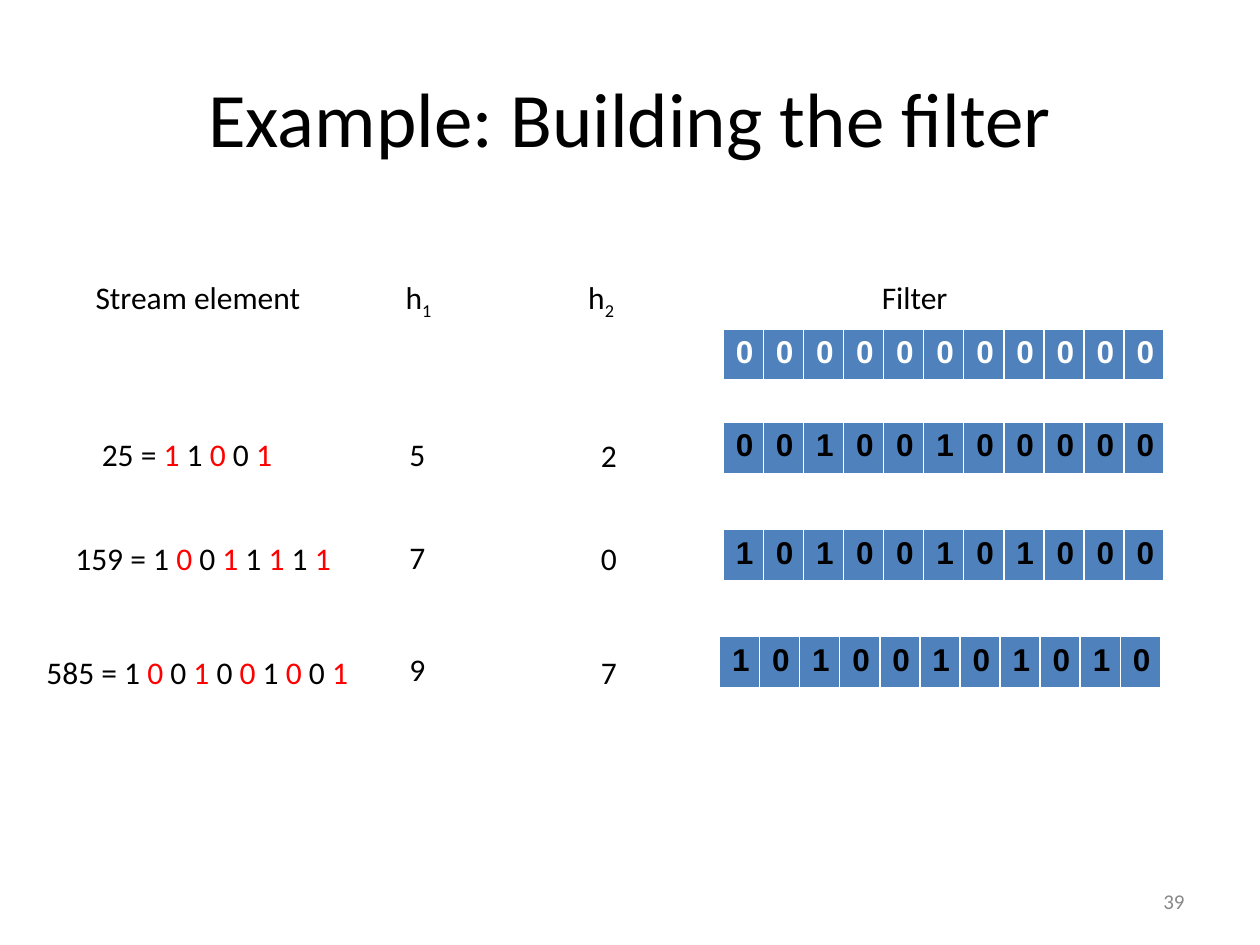
import pptx
import pptx.util
import pptx.dml.color
import pptx.enum.text
import pptx.oxml
import pptx.oxml.ns
from pptx.util import Inches

BLACK, WHITE, RED, GREY, BLUE = "000000", "FFFFFF", "FF0000", "888888", "4F81BD"
FILTER_SIZE = 11


def color(value):
    return pptx.dml.color.RGBColor.from_string(value)


class FilterSlide:
    text_font, bit_font = "Calibri", "Arial"
    body_size, title_size, number_size = 18, 44, 12

    def __init__(self, presentation):
        self.slide = presentation.slides.add_slide(presentation.slide_layouts[5])

    def style(self, run, size, fill=BLACK, font=text_font, bold=False):
        run.font.size = pptx.util.Pt(size)
        run.font.name = font
        run.font.bold = bold
        run.font.color.rgb = color(fill)

    def title(self, words):
        heading = self.slide.shapes.title
        heading.left, heading.top = Inches(0.5), Inches(0.3)
        heading.width, heading.height = Inches(9), Inches(1.25)
        frame = heading.text_frame
        frame.text = words
        frame.vertical_anchor = pptx.enum.text.MSO_ANCHOR.MIDDLE
        frame.paragraphs[0].alignment = pptx.enum.text.PP_ALIGN.CENTER
        self.style(frame.paragraphs[0].runs[0], self.title_size)

    def label(self, left, top, width, pieces, subscript=""):
        box = self.slide.shapes.add_textbox(Inches(left), Inches(top), Inches(width), Inches(0.4))
        frame = box.text_frame
        frame.word_wrap = False
        frame.auto_size = pptx.enum.text.MSO_AUTO_SIZE.SHAPE_TO_FIT_TEXT
        paragraph = frame.paragraphs[0]
        for words, fill in pieces:
            run = paragraph.add_run()
            run.text = words
            self.style(run, self.body_size, fill)
        if subscript:
            run = paragraph.add_run()
            run.text = subscript
            self.style(run, self.body_size)
            run._r.get_or_add_rPr().set("baseline", "-25000")

    def page_number(self, number):
        box = self.slide.shapes.add_textbox(Inches(7.17), Inches(6.95), Inches(2.33), Inches(0.4))
        frame = box.text_frame
        frame.word_wrap = True
        frame.vertical_anchor = pptx.enum.text.MSO_ANCHOR.MIDDLE
        frame.text = number
        frame.paragraphs[0].alignment = pptx.enum.text.PP_ALIGN.RIGHT
        self.style(frame.paragraphs[0].runs[0], self.number_size, GREY)

    def border(self, cell, side, points):
        cell._tc.get_or_add_tcPr().append(pptx.oxml.parse_xml(
            f'<a:{side} {pptx.oxml.ns.nsdecls("a")} w="{pptx.util.Pt(points)}">'
            f'<a:solidFill><a:srgbClr val="{WHITE}"/></a:solidFill></a:{side}>'))

    def filter_bits(self, left, top, bits, fill):
        table = self.slide.shapes.add_table(
            1, len(bits), Inches(left), Inches(top), Inches(3.5), Inches(0.42)).table
        table.first_row = table.horz_banding = False
        for cell, bit in zip(table.rows[0].cells, bits):
            for side, points in (("lnL", 1), ("lnR", 1), ("lnT", 1), ("lnB", 3)):
                self.border(cell, side, points)
            cell.fill.solid()
            cell.fill.fore_color.rgb = color(BLUE)
            cell.text_frame.text = str(bit)
            self.style(cell.text_frame.paragraphs[0].runs[0], self.body_size, fill, self.bit_font, True)


def alternate_bits(element):
    bits = f"{element:b}"
    pieces, plain = [], f"{element} = "
    for position, bit in enumerate(bits):
        if (len(bits) - position) % 2:
            pieces += [(plain, BLACK), (bit, RED)]
            plain = " "
        else:
            plain += f"{bit} "
    return pieces


def main():
    presentation = pptx.Presentation()
    presentation.slide_width, presentation.slide_height = Inches(10), Inches(7.5)
    page = FilterSlide(presentation)
    page.title("Example: Building the filter")

    header_top = 2.16
    page.label(0.66, header_top, 1.85, [("Stream element", BLACK)])
    page.label(3.12, header_top, 0.42, [("h", BLACK)], "1")
    page.label(4.57, header_top, 0.42, [("h", BLACK)], "2")
    page.label(6.9, header_top, 0.73, [("Filter", BLACK)])

    bits = [0] * FILTER_SIZE
    page.filter_bits(5.74, 2.61, bits, WHITE)

    stream = [
        (25, 0.71, 1.57, 3.4, 5, 3.4, 2, 3.41, 5.74, 3.35),
        (159, 0.5, 2.26, 4.23, 7, 4.22, 0, 4.23, 5.74, 4.2),
        (585, 0.27, 2.63, 5.13, 9, 5.11, 7, 5.13, 5.71, 5.05),
    ]
    for element, left, width, top, h1, h1_top, h2, h2_top, filter_left, filter_top in stream:
        page.label(left, top, width, alternate_bits(element))
        page.label(3.15, h1_top, 0.33, [(str(h1), BLACK)])
        page.label(4.67, h2_top, 0.33, [(str(h2), BLACK)])
        bits[h1] = bits[h2] = 1
        page.filter_bits(filter_left, filter_top, bits, BLACK)

    page.page_number("39")
    presentation.save("out.pptx")


if __name__ == "__main__":
    main()
